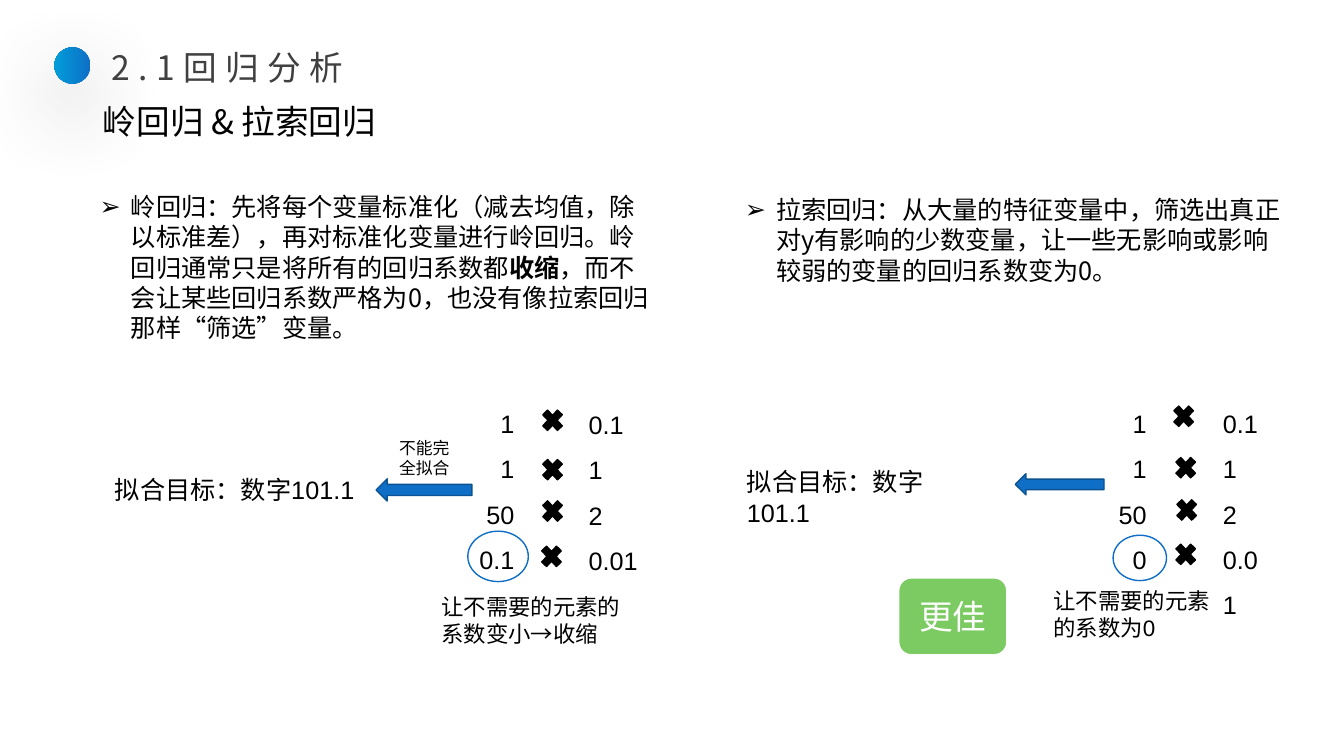
from dataclasses import dataclass

from lxml.etree import SubElement
from pptx import Presentation
from pptx.dml.color import RGBColor
from pptx.enum.shapes import MSO_SHAPE as Kind
from pptx.enum.text import MSO_ANCHOR as Anchor, MSO_AUTO_SIZE as Fit, PP_ALIGN as Align
from pptx.oxml.ns import qn
from pptx.util import Emu, Pt


@dataclass(frozen=True)
class Theme:
    sans: str = "Arial"
    han: str = "Noto Sans CJK SC"
    ink: str = "000000"
    grey: str = "404040"
    white: str = "FFFFFF"
    blue: str = "0F6FC6"
    navy: str = "0B5292"
    sky: str = "009DD9"
    green: str = "7CCA62"
    head: int = 24
    body: int = 18
    note: int = 16
    tiny: int = 12


T = Theme()
PX = 9144  # 100 px to the inch
CROSS = (28, 30)

SECTION = "2.1回归分析"
TITLE = "岭回归 & 拉索回归"
BADGE = "更佳"
HINT = "不能完全拟合"
GOAL = "拟合目标：数字101.1"
VALUES = ["0.1", "1", "2", "0.01"]

# Runs are (text, bold, font)
SIDES = [
    dict(
        about=[("岭回归：先将每个变量标准化（减去均值，除以标准差），再对标准化变量进行岭回归。"
                "岭回归通常只是将所有的回归系数都", False, T.han),
               ("收缩", True, T.han),
               ("，而不会让某些回归系数严格为0，也没有像拉索回归那样“筛选”变量。", False, T.han)],
        weights=["1", "1", "50", "0.1"],
        note=[("让不需要的元素的系数变小", False, T.sans), ("→收缩", False, T.han)],
        boxes=dict(about=(89, 185, 572, 161), goal=(104, 466, 259, 40),
                   values=(574, 386, 70, 187), weights=(457, 385, 63, 187),
                   arrow=(373, 475, 95, 22), ring=(464, 527, 60, 50),
                   note=(428, 584, 202, 64)),
        crosses=[(534, 402), (534, 451), (534, 492), (533, 537)],
    ),
    dict(
        about=[("拉索回归：从大量的特征变量中，筛选出真正对y有影响的少数变量，"
                "让一些无影响或影响较弱的变量的回归系数变为0。", False, T.han)],
        weights=["1", "1", "50", "0"],
        note=[("让不需要的元素的系数为0", False, T.sans)],
        boxes=dict(about=(729, 188, 557, 101), goal=(731, 458, 255, 40),
                   values=(1203, 385, 66, 233), weights=(1084, 385, 63, 187),
                   arrow=(1007, 470, 88, 21), ring=(1104, 531, 53, 45),
                   note=(1035, 578, 192, 64)),
        crosses=[(1160, 398), (1162, 449), (1163, 491), (1162, 535)],
    ),
]


def emu(box):
    return [Emu(n * PX) for n in box]


def rgb(code):
    return RGBColor.from_string(code)


def style(para, size, font=T.sans, color=T.ink, align=Align.LEFT, gap=1.0):
    para.alignment = align
    para.line_spacing = gap
    face = para.font
    face.size, face.name = Pt(size), font
    face.color.rgb = rgb(color)
    SubElement(face._rPr, qn("a:ea"), typeface=T.han)


def bullet(para):
    props = para._p.get_or_add_pPr()
    props.set("marL", str(31 * PX))
    props.set("indent", str(-31 * PX))
    SubElement(props, qn("a:buFont"), typeface=T.sans)
    SubElement(props, qn("a:buChar"), char="➢")


def write(slide, box, lines, size, mark=False, **look):
    """Add a text box; each line is a string or a list of runs."""
    frame = slide.shapes.add_textbox(*emu(box)).text_frame
    frame.word_wrap = True
    frame.auto_size = Fit.SHAPE_TO_FIT_TEXT
    for i, line in enumerate(lines):
        para = frame.add_paragraph() if i else frame.paragraphs[0]
        if mark:
            bullet(para)
        style(para, size, **look)
        if isinstance(line, str):
            para.add_run().text = line
            continue
        for text, bold, font in line:
            run = para.add_run()
            run.text = text
            run.font.name = font
            if bold:
                run.font.bold = True
    return frame


def draw(slide, kind, box, fill=None, line=None, width=1):
    shape = slide.shapes.add_shape(kind, *emu(box))
    shape.shadow.inherit = False
    if fill:
        shape.fill.solid()
        shape.fill.fore_color.rgb = rgb(fill)
    else:
        shape.fill.background()
    if line:
        shape.line.color.rgb = rgb(line)
        shape.line.width = Pt(width)
    else:
        shape.line.fill.background()
    return shape


def panel(slide, side):
    at = side["boxes"]
    write(slide, at["about"], [side["about"]], T.body, mark=True, font=T.han)
    write(slide, at["goal"], [GOAL], T.body)
    write(slide, at["values"], VALUES, T.body, gap=1.5)
    write(slide, at["weights"], side["weights"], T.body, align=Align.RIGHT, gap=1.5)
    for spot in side["crosses"]:
        draw(slide, Kind.MATH_MULTIPLY, spot + CROSS, T.ink, T.ink)
    draw(slide, Kind.RIGHT_ARROW, at["arrow"], T.blue, T.navy).rotation = 180
    draw(slide, Kind.OVAL, at["ring"], line=T.blue)
    write(slide, at["note"], [side["note"]], T.note)


def header(slide):
    title = slide.shapes.title
    title.left, title.top, title.width, title.height = emu((92, 100, 1150, 85))
    frame = title.text_frame
    frame.text = TITLE
    frame.vertical_anchor = Anchor.TOP
    frame.auto_size = Fit.NONE
    style(frame.paragraphs[0], T.head, T.han, gap=0.9)

    dot = draw(slide, Kind.OVAL, (54, 47, 36, 36))
    dot.fill.gradient()
    dot.fill.gradient_angle = 180
    for stop, color in zip(dot.fill.gradient_stops, (T.blue, T.sky)):
        stop.color.rgb = rgb(color)
    glow = SubElement(dot._element.spPr.find(qn("a:effectLst")), qn("a:outerShdw"),
                      blurRad=str(Pt(60)), dist=str(Pt(20)), dir="5400000",
                      algn="ctr", rotWithShape="0")
    tint = SubElement(glow, qn("a:srgbClr"), val=T.ink)
    SubElement(tint, qn("a:alpha"), val="40000")

    frame = write(slide, (101, 42, 599, 50), [SECTION], T.head,
                  font=T.han, color=T.grey, align=Align.JUSTIFY)
    frame.paragraphs[0].font._rPr.set("spc", "600")


def badge(slide):
    shape = draw(slide, Kind.ROUNDED_RECTANGLE, (891, 573, 108, 77), T.green, T.white, 1.5)
    frame = shape.text_frame
    frame.text = BADGE
    frame.vertical_anchor = Anchor.MIDDLE
    style(frame.paragraphs[0], T.head, T.han, T.white, Align.CENTER)


def main():
    deck = Presentation()
    deck.slide_width, deck.slide_height = emu((1333, 750))
    slide = deck.slides.add_slide(deck.slide_layouts[5])
    header(slide)
    for side in SIDES:
        panel(slide, side)
    write(slide, (386, 429, 78, 50), [HINT], T.tiny)
    badge(slide)
    deck.save("out.pptx")


if __name__ == "__main__":
    main()
